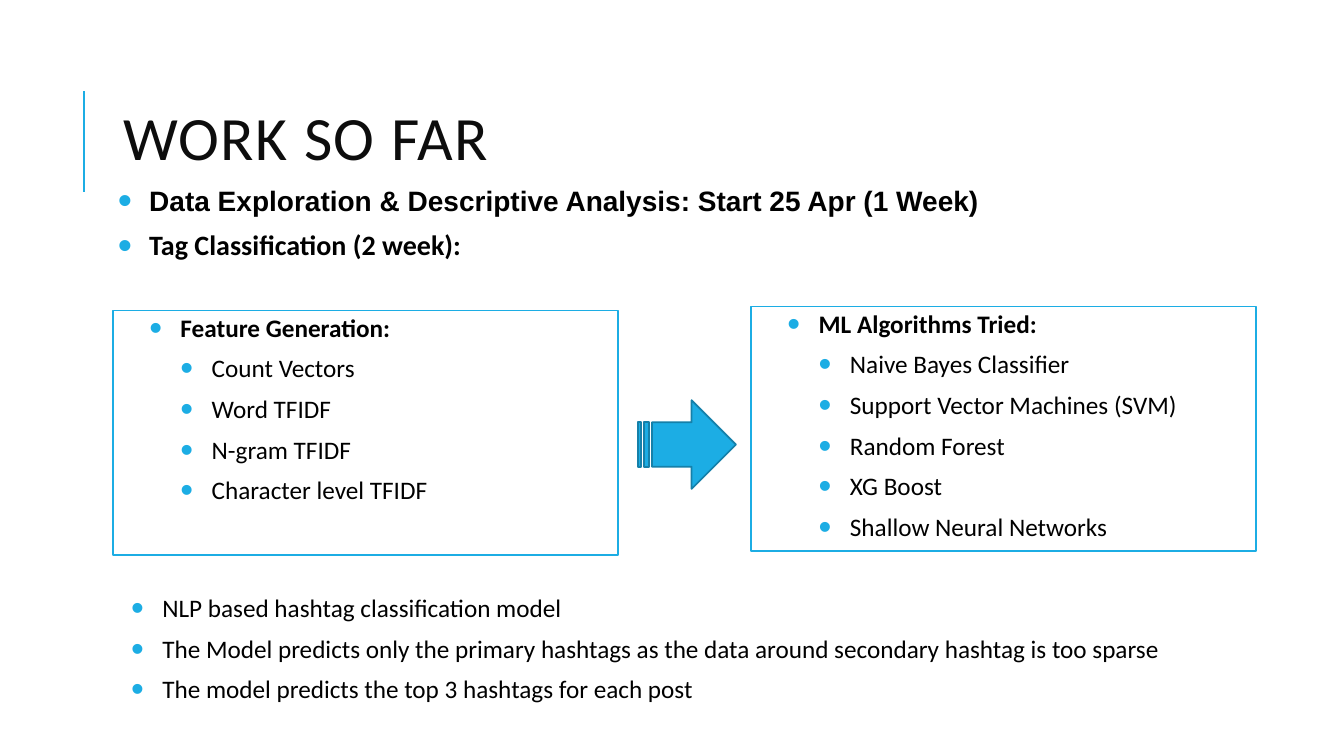
from dataclasses import dataclass

from lxml.etree import SubElement
from pptx import Presentation
from pptx.dml.color import RGBColor
from pptx.enum.shapes import MSO_CONNECTOR, MSO_SHAPE
from pptx.enum.text import MSO_ANCHOR, PP_ALIGN
from pptx.oxml.ns import qn
from pptx.util import Inches, Pt


@dataclass(frozen=True)
class Theme:
    blue: RGBColor = RGBColor(0x1C, 0xAD, 0xE4)
    edge: RGBColor = RGBColor(0x15, 0x80, 0xA9)
    ink: RGBColor = RGBColor(0x0D, 0x0D, 0x0D)
    black: RGBColor = RGBColor(0, 0, 0)
    white: RGBColor = RGBColor(255, 255, 255)
    font: str = "Calibri"
    alt: str = "Arial"
    title: int = 44
    head: int = 20
    body: int = 18


THEME = Theme()
HANG = 0.31


def style(para, size, color, bold=False, name=THEME.font):
    font = para.font
    font.size, font.bold, font.name = Pt(size), bold, name
    font.color.rgb = color


def bullet(para, left):
    props = para._p.get_or_add_pPr()
    props.set("marL", str(Inches(left)))
    props.set("indent", str(-Inches(HANG)))
    color = SubElement(props, qn("a:buClr"))
    SubElement(color, qn("a:srgbClr"), val=str(THEME.blue))
    SubElement(props, qn("a:buSzPct"), val="145000")
    SubElement(props, qn("a:buFont"), typeface=THEME.alt)
    SubElement(props, qn("a:buChar"), char="•")


def fill_list(shape, items):
    """Each item is (text, left indent, size, bold, font name)."""
    frame = shape.text_frame
    frame.word_wrap = True
    frame.vertical_anchor = MSO_ANCHOR.TOP
    frame.margin_left = frame.margin_right = Inches(0.05)
    frame.margin_top = frame.margin_bottom = Inches(0.05)
    for i, (text, left, size, bold, name) in enumerate(items):
        para = frame.add_paragraph() if i else frame.paragraphs[0]
        para.text = text
        para.alignment = PP_ALIGN.LEFT
        para.line_spacing = 0.9
        para.space_before, para.space_after = Pt(0.2 * size), Pt(6)
        bullet(para, left)
        style(para, size, THEME.black, bold, name)


def add_title(slide, box, text):
    title = slide.shapes.title
    title.left, title.top, title.width, title.height = map(Inches, box)
    frame = title.text_frame
    frame.text = text
    frame.vertical_anchor = MSO_ANCHOR.MIDDLE
    para = frame.paragraphs[0]
    para.alignment, para.line_spacing = PP_ALIGN.LEFT, 0.8
    style(para, THEME.title, THEME.ink)
    para._p.pPr.find(qn("a:defRPr")).set("spc", "100")

    # Accent rule left of the title
    left, top = box[0] - 0.29, box[1] + 0.1
    rule = slide.shapes.add_connector(
        MSO_CONNECTOR.STRAIGHT,
        *map(Inches, (left, top + 1, left, top)))
    rule.line.color.rgb, rule.line.width = THEME.blue, Pt(1.5)
    SubElement(rule._element.spPr, qn("a:effectLst"))


def add_list(slide, box, items):
    fill_list(slide.shapes.add_textbox(*map(Inches, box)), items)


def add_block(slide, kind, box, fill, edge):
    shape = slide.shapes.add_shape(kind, *map(Inches, box))
    shape.shadow.inherit = False
    shape.fill.solid()
    shape.fill.fore_color.rgb = fill
    shape.line.color.rgb, shape.line.width = edge, Pt(1.25)
    return shape


def add_panel(slide, box, head, names):
    panel = add_block(slide, MSO_SHAPE.RECTANGLE, box, THEME.white, THEME.blue)
    items = [(head, 2 * HANG, THEME.body, True, THEME.font)]
    items += [(n, 3 * HANG, THEME.body, False, THEME.font) for n in names]
    fill_list(panel, items)


def main():
    deck = Presentation()
    deck.slide_width, deck.slide_height = Inches(13.33), Inches(7.5)
    slide = deck.slides.add_slide(deck.slide_layouts[5])
    left = 1.12

    add_title(slide, (left, 0.8, 10.63, 1.23), "WORK SO FAR")

    # Project stages
    add_list(slide, (left, 1.81, 11.09, 0.88), [
        ("Data Exploration & Descriptive Analysis: Start 25 Apr (1 Week)",
         HANG, THEME.head, True, THEME.alt),
        ("Tag Classification (2 week):", HANG, THEME.head, True, THEME.font),
    ])

    # Model notes
    notes = (
        "NLP based hashtag classification model",
        "The Model predicts only the primary hashtags as the data around "
        "secondary hashtag is too sparse",
        "The model predicts the top 3 hashtags for each post",
    )
    add_list(slide, (left, 5.86, 11.09, 1.03),
             [(n, 0.44, THEME.body, False, THEME.font) for n in notes])

    # Features lead to algorithms
    add_panel(slide, (left, 3.08, 5.01, 2.43), "Feature Generation:", (
        "Count Vectors", "Word TFIDF", "N-gram TFIDF",
        "Character level TFIDF"))
    add_panel(slide, (7.45, 3.04, 5.01, 2.43), "ML Algorithms Tried:", (
        "Naive Bayes Classifier", "Support Vector Machines (SVM)",
        "Random Forest", "XG Boost", "Shallow Neural Networks"))
    add_block(slide, MSO_SHAPE.STRIPED_RIGHT_ARROW, (6.33, 3.97, 0.97, 0.88),
              THEME.blue, THEME.edge)

    deck.save("out.pptx")


if __name__ == "__main__":
    main()
